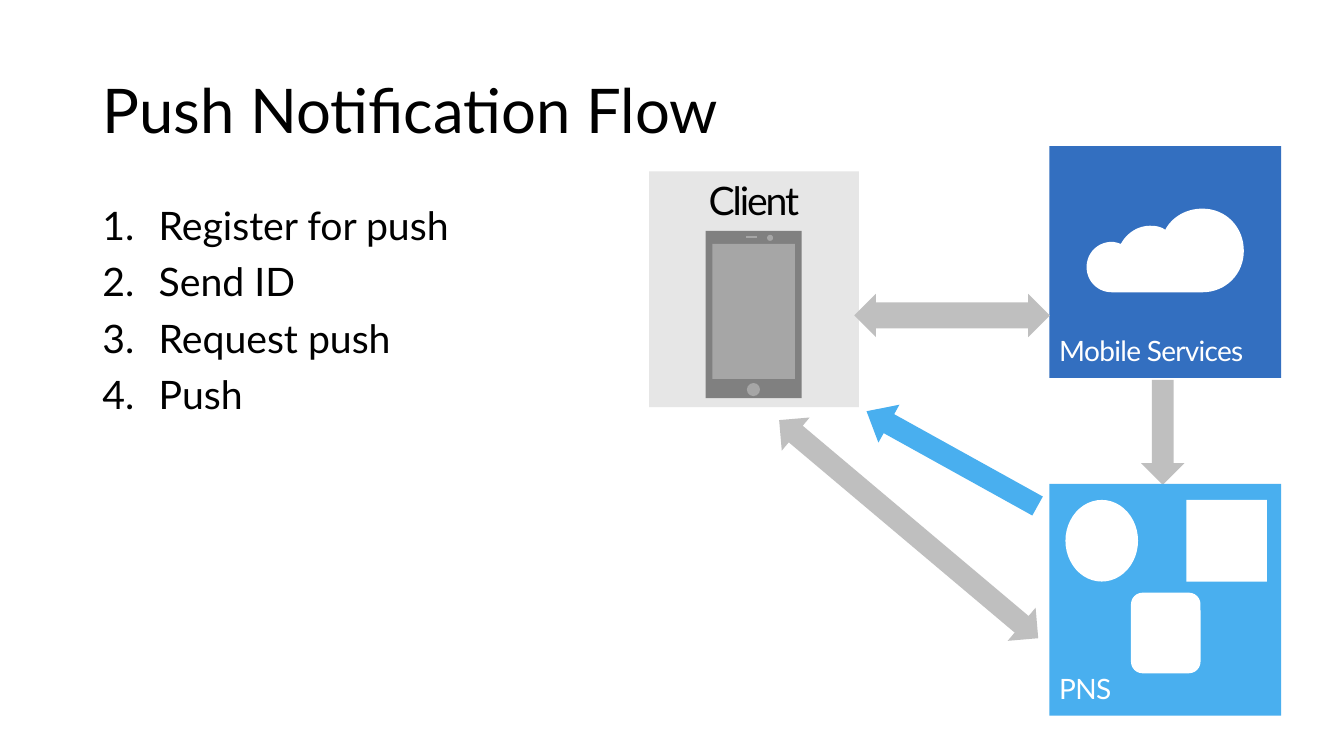
from dataclasses import dataclass
from typing import Any

from lxml import etree
from pptx import Presentation
from pptx.dml.color import RGBColor
from pptx.enum.shapes import MSO_CONNECTOR, MSO_SHAPE
from pptx.enum.text import MSO_ANCHOR, PP_ALIGN
from pptx.oxml.ns import qn
from pptx.util import Emu, Inches, Pt

RECT, OVAL, ROUNDED = MSO_SHAPE.RECTANGLE, MSO_SHAPE.OVAL, MSO_SHAPE.ROUNDED_RECTANGLE
DOWN_ARROW, TWO_WAY_ARROW = MSO_SHAPE.DOWN_ARROW, MSO_SHAPE.UP_DOWN_ARROW
STRAIGHT = MSO_CONNECTOR.STRAIGHT
TOP, MIDDLE, BOTTOM = MSO_ANCHOR.TOP, MSO_ANCHOR.MIDDLE, MSO_ANCHOR.BOTTOM
LEFT, CENTER = PP_ALIGN.LEFT, PP_ALIGN.CENTER

BLACK, WHITE = "000000", "FFFFFF"
PANEL, ARROW, CASE, SCREEN = "E6E6E6", "BFBFBF", "808080", "A6A6A6"
SERVICE_BLUE, PUSH_BLUE = "336FC0", "49AFEF"

STEPS = ["Register for push", "Send ID", "Request push", "Push"]

# Cubic segments in grid cells: two control points and an end point.
CLOUD_START = (35.79, 6.21)
CLOUD_CURVES = [
    ((35.31, 6.21), (34.89, 6.45), (34.68, 6.84)),
    ((34.56, 6.75), (34.41, 6.72), (34.23, 6.72)),
    ((33.87, 6.72), (33.54, 6.93), (33.36, 7.26)),
    ((33.27, 7.23), (33.18, 7.2), (33.09, 7.2)),
    ((32.67, 7.2), (32.34, 7.53), (32.34, 7.95)),
    ((32.34, 8.37), (32.67, 8.7), (33.09, 8.7)),
    ((33.09, 8.7), (35.79, 8.7), (35.79, 8.7)),
    ((36.48, 8.7), (37.02, 8.16), (37.02, 7.47)),
    ((37.02, 6.75), (36.48, 6.21), CLOUD_START),
]


def rgb(value):
    return RGBColor.from_string(value)


def curve_points(start, curves, steps=16):
    """Sample a chain of cubic curves into points."""
    points = [start]
    for first, second, end in curves:
        for step in range(1, steps + 1):
            t = step / steps
            weights = ((1 - t) ** 3, 3 * t * (1 - t) ** 2, 3 * t * t * (1 - t), t ** 3)
            knots = (start, first, second, end)
            points.append(tuple(sum(w * knot[axis] for w, knot in zip(weights, knots))
                                for axis in (0, 1)))
        start = end
    return points


@dataclass
class FlowSlide:
    """Draws on a grid of square cells, 40 columns by 22.5 rows."""
    slide: Any
    cell: float
    font: str = "Lato"

    def grid(self, *cells):
        return [Emu(round(count * self.cell)) for count in cells]

    def paint(self, shape, fill):
        shape.shadow.inherit = False
        shape.fill.solid()
        shape.fill.fore_color.rgb = rgb(fill)
        shape.line.fill.background()
        return shape

    def set_text(self, shape, lines, size, color, anchor=TOP, align=LEFT,
                 leading=0.9, tracking=None, gap=0, numbered=False, pad=0.05):
        frame = shape.text_frame
        frame.word_wrap = True
        frame.vertical_anchor = anchor
        frame.margin_left = frame.margin_right = Inches(0.1)
        frame.margin_top = frame.margin_bottom = Inches(pad)
        frame.text = "\n".join(lines)
        for index, paragraph in enumerate(frame.paragraphs):
            if numbered:
                self.number(paragraph)
            paragraph.alignment = align
            paragraph.line_spacing = leading
            if index:
                paragraph.space_before = Pt(gap)
            for run in paragraph.runs:
                run.font.name = self.font
                run.font.size = Pt(size)
                run.font.color.rgb = rgb(color)
                if tracking:
                    run.font._element.set("spc", str(round(tracking * 100)))

    def number(self, paragraph):
        properties = paragraph._p.get_or_add_pPr()
        indent = Inches(0.56)
        properties.set("marL", str(indent))
        properties.set("indent", str(-indent))
        etree.SubElement(properties, qn("a:buFont")).set("typeface", "+mj-lt")
        etree.SubElement(properties, qn("a:buAutoNum")).set("type", "arabicPeriod")

    def text(self, box, lines, size, **style):
        self.set_text(self.slide.shapes.add_textbox(*self.grid(*box)), lines, size, BLACK, **style)

    def shape(self, kind, box, fill):
        return self.paint(self.slide.shapes.add_shape(kind, *self.grid(*box)), fill)

    def service(self, box, fill, label):
        self.set_text(self.shape(RECT, box, fill), [label], 20, WHITE,
                      anchor=BOTTOM, tracking=-0.5, pad=0.1)

    def arrow(self, kind, box, fill, turn=0, shaft=0.5, head=0.5):
        arrow = self.shape(kind, box, fill)
        arrow.rotation = turn
        arrow.adjustments[0] = shaft
        arrow.adjustments[1] = head

    def line(self, start, end, color, width):
        line = self.slide.shapes.add_connector(STRAIGHT, *self.grid(*start, *end))
        line.line.color.rgb = rgb(color)
        line.line.width = Pt(width)
        etree.SubElement(line._element.spPr, qn("a:effectLst"))

    def outline(self, points, fill):
        corners = [tuple(self.grid(*point)) for point in points]
        builder = self.slide.shapes.build_freeform(*corners[0])
        builder.add_line_segments(corners[1:], close=True)
        self.paint(builder.convert_to_shape(), fill)


def main():
    deck = Presentation()
    deck.slide_width, deck.slide_height = Inches(13.333), Inches(7.5)
    flow = FlowSlide(deck.slides.add_slide(deck.slide_layouts[6]), deck.slide_width / 40)

    flow.text((2.75, 1.2, 34.5, 4.35), ["Push Notification Flow"], 44, anchor=MIDDLE)
    flow.text((2.75, 6, 17, 14.28), STEPS, 28, gap=10, numbered=True)

    client = flow.shape(RECT, (19.32, 5.1, 6.24, 7.02), PANEL)
    flow.set_text(client, ["Client"], 28, BLACK, align=CENTER, leading=1.0, tracking=-1.5)

    side, service_left = 6.9, 31.23
    flow.service((service_left, 4.35, side, side), SERVICE_BLUE, "Mobile Services")

    thick = 1.29
    flow.arrow(TWO_WAY_ARROW, (26.4, 10.71, thick, 10.08), ARROW, turn=310.1, shaft=0.39)
    flow.arrow(TWO_WAY_ARROW, (27.69, 6.48, thick, 5.82), ARROW, turn=90, head=0.6)
    flow.arrow(DOWN_ARROW, (33.96, 11.31, thick, 3.12), ARROW)
    flow.arrow(DOWN_ARROW, (27.69, 10.74, thick, 5.82), PUSH_BLUE, turn=119, head=0.59)

    flow.outline(curve_points(CLOUD_START, CLOUD_CURVES), WHITE)

    phone_parts = [
        (RECT, (21, 6.87, 2.86, 4.98), CASE),
        (RECT, (21.2, 7.26, 2.46, 4.02), SCREEN),
        (OVAL, (22.23, 11.4, 0.39, 0.39), SCREEN),
        (OVAL, (22.83, 6.99, 0.18, 0.18), SCREEN),
    ]
    for part in phone_parts:
        flow.shape(*part)
    flow.line((22.2, 7.05), (22.53, 7.05), SCREEN, 1.5)

    flow.service((service_left, 14.4, side, side), PUSH_BLUE, "PNS")
    platform_marks = [
        (OVAL, (31.71, 14.88, 2.16, 2.43)),
        (RECT, (35.31, 14.88, 2.4, 2.43)),
        (ROUNDED, (33.66, 17.64, 2.07, 2.4)),
    ]
    for kind, box in platform_marks:
        flow.shape(kind, box, WHITE)

    deck.save("out.pptx")


if __name__ == "__main__":
    main()
